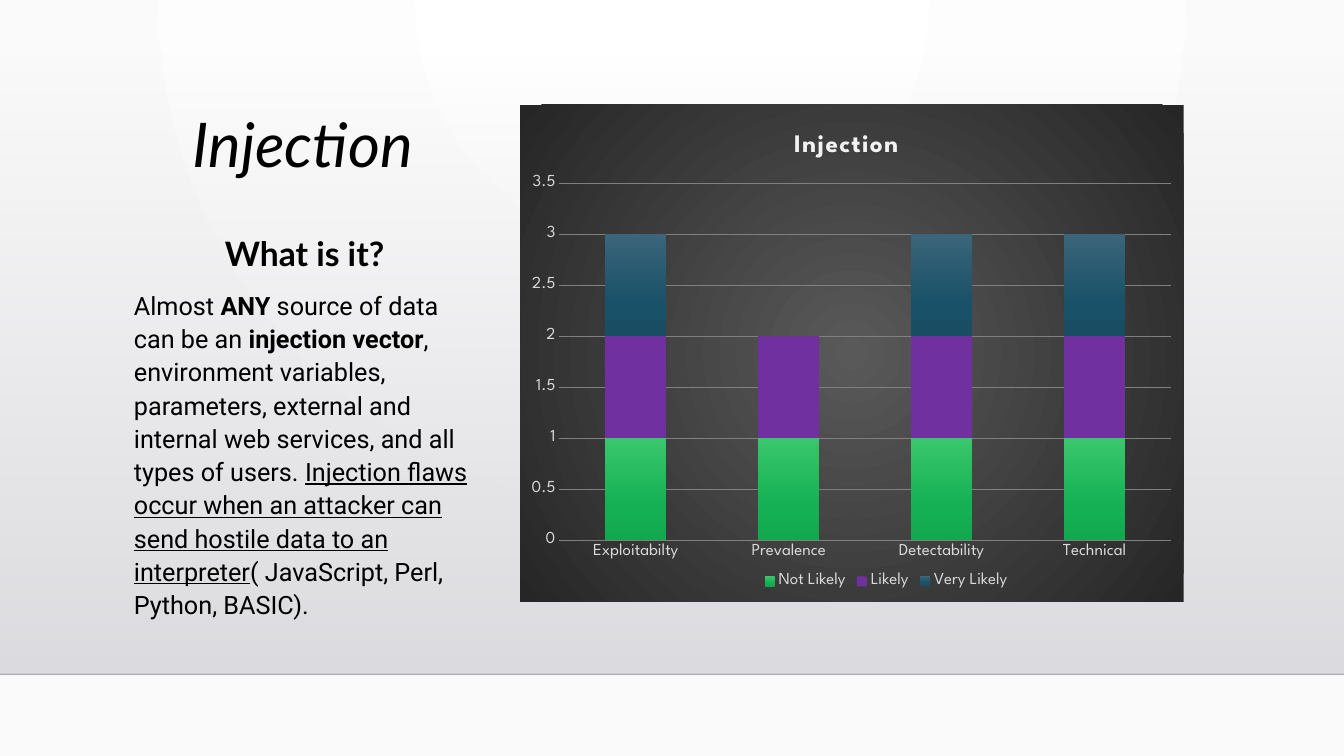
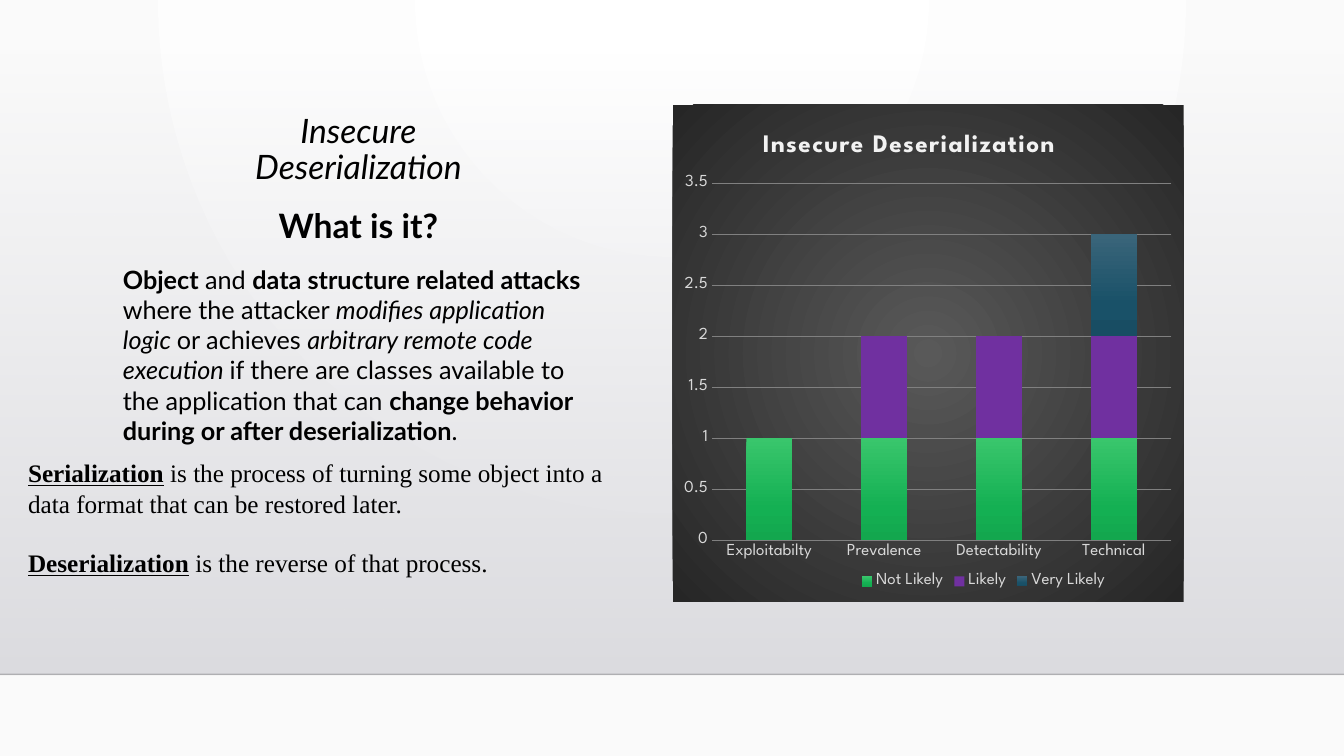
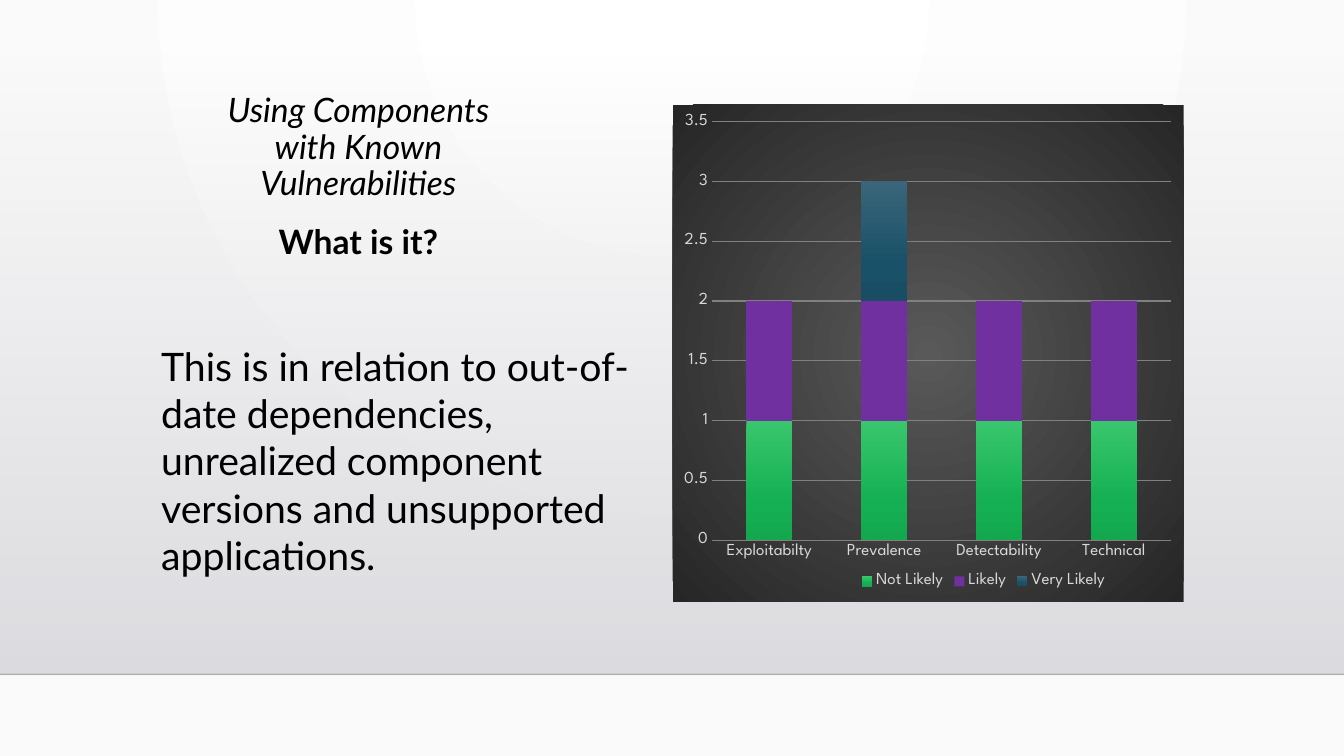
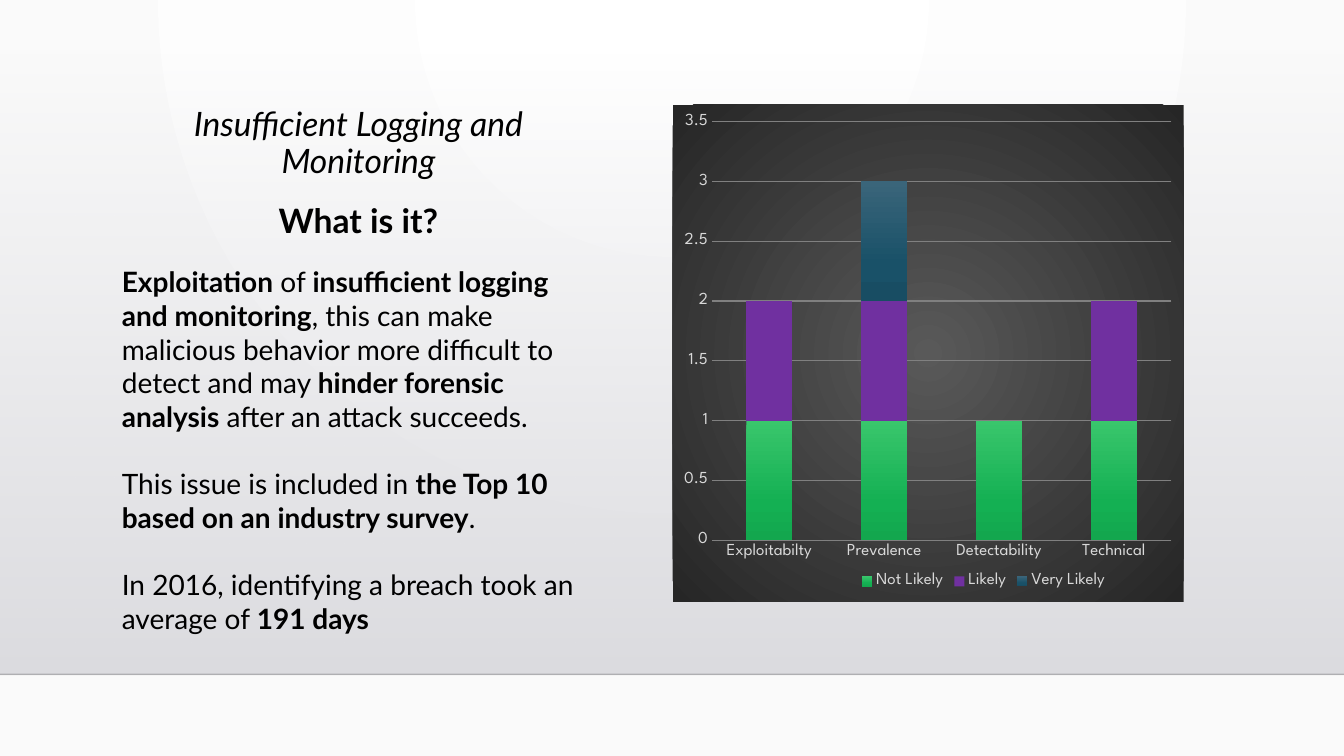
from dataclasses import dataclass

from lxml.etree import SubElement as Sub
from pptx import Presentation
from pptx.chart.data import CategoryChartData as ChartData
from pptx.dml.color import RGBColor as RGB
from pptx.enum.chart import XL_CHART_TYPE as Kind
from pptx.enum.chart import XL_LEGEND_POSITION as Place
from pptx.enum.chart import XL_TICK_MARK as Tick
from pptx.enum.shapes import MSO_CONNECTOR as Link
from pptx.enum.shapes import MSO_SHAPE as Form
from pptx.enum.text import MSO_ANCHOR as Anchor
from pptx.enum.text import PP_ALIGN as Align
from pptx.oxml import parse_xml
from pptx.oxml.ns import nsdecls, qn
from pptx.util import Inches, Pt


@dataclass(frozen=True)
class Theme:
    ink: str = "000000"
    rule: str = "000001"
    pale: str = "D9D9D9"
    bright: str = "F2F2F2"
    grid: str = "808080"
    likely: str = "7030A0"
    # gradient stops: position, colour, opacity (all in percent)
    back: tuple = ((0, "FFFFFF", 100), (100, "FAFAFA", 100))
    panel: tuple = ((0, "DCDCE0", 0), (100, "DEDEE2", 100))
    board: tuple = ((0, "595959", 100), (100, "262626", 100))
    low: tuple = ((0, "39C66C", 100), (69, "14B053", 100), (100, "13A74E", 100))
    high: tuple = ((0, "3A657A", 100), (69, "195168", 100), (100, "184D63", 100))
    sans: str = "Lato"
    plain: str = "Roboto"
    serif: str = "Times New Roman"
    plot: str = "League Spartan"
    hero: int = 44
    large: int = 28
    head: int = 24
    mid: int = 20
    body: int = 18
    label: int = 12
    small: int = 10


DOWN = '<a:lin ang="5400000" scaled="0"/>'
CATS = ("Exploitabilty", "Prevalence", "Detectability", "Technical")
NAMES = ("Not Likely", "Likely", "Very Likely")
WIDE, HIGH = 13.33, 7.5
FLOOR = 6.69


def ring(*edges):
    """Radial gradient centred on the given left, top, right, bottom insets."""
    sides = " ".join(f'{k}="{v * 1000}"' for k, v in zip("ltrb", edges))
    return f'<a:path path="circle"><a:fillToRect {sides}/></a:path>'


def blend(props, stops, way):
    """Swap the solid fill in props for a gradient."""
    marks = "".join(
        f'<a:gs pos="{pos * 1000}"><a:srgbClr val="{tint}">'
        f'<a:alpha val="{alpha * 1000}"/></a:srgbClr></a:gs>'
        for pos, tint, alpha in stops)
    grad = parse_xml(f'<a:gradFill {nsdecls("a")} rotWithShape="1">'
                     f'<a:gsLst>{marks}</a:gsLst>{way}</a:gradFill>')
    props.replace(props.find(qn("a:solidFill")), grad)


def locate(part, after=None, **spots):
    """Fix a chart part at fractions of the chart size."""
    old = part.find(qn("c:layout"))
    if old is not None:
        part.remove(old)
    inner = '<c:layoutTarget val="inner"/>' if "w" in spots else ""
    modes = "".join(f'<c:{k}Mode val="edge"/>' for k in "xy")
    vals = "".join(f'<c:{k} val="{v:.3f}"/>' for k, v in spots.items())
    lay = parse_xml(f'<c:layout {nsdecls("c")}><c:manualLayout>{inner}{modes}'
                    f'{vals}</c:manualLayout></c:layout>')
    if after:
        part.find(qn(after)).addnext(lay)
    else:
        part.insert(0, lay)


class Deck:
    def __init__(self, look):
        self.look = look
        self.prs = Presentation()
        self.prs.slide_width = Inches(WIDE)
        self.prs.slide_height = Inches(HIGH)
        master = self.prs.slide_master
        master.background.fill.solid()
        blend(master.element.find(".//" + qn("p:bgPr")),
              look.back, ring(43, 0, 43, 100))

    def page(self):
        """Start a slide with its panel and floor line."""
        slide = self.prs.slides.add_slide(self.prs.slide_layouts[6])
        self.shapes = slide.shapes
        top = 0.51
        panel = self.shapes.add_shape(Form.RECTANGLE, 0, Inches(top),
                                      Inches(WIDE), Inches(FLOOR - top))
        panel.shadow.inherit = False
        panel.line.fill.background()
        panel.fill.solid()
        blend(panel.element.spPr, self.look.panel, DOWN)
        rule = self.shapes.add_connector(Link.STRAIGHT, 0, Inches(FLOOR),
                                         Inches(WIDE), Inches(FLOOR))
        rule.line.width = Pt(1)
        rule.line.color.rgb = RGB.from_string(self.look.rule)
        tint = rule.element.spPr.find(".//" + qn("a:srgbClr"))
        Sub(tint, qn("a:alpha")).set("val", "20000")
        Sub(rule.element.spPr, qn("a:effectLst"))

    def font(self, font, size, face, tint):
        font.size, font.name = Pt(size), face
        font.color.rgb = RGB.from_string(tint)

    def box(self, spot, anchor=Anchor.TOP):
        frame = self.shapes.add_textbox(*map(Inches, spot)).text_frame
        frame.word_wrap = True
        frame.vertical_anchor = anchor
        return frame

    def say(self, para, runs, size, face):
        """Fill a paragraph from (text, marks) pairs; marks are b, i, u."""
        for text, marks in runs:
            run = para.add_run()
            run.text = text
            self.font(run.font, size, face, self.look.ink)
            run.font.bold = "b" in marks
            run.font.italic = "i" in marks
            run.font.underline = "u" in marks

    def title(self, text, left, top, size):
        para = self.box((left, top, 3.47, 0.8), Anchor.BOTTOM).paragraphs[0]
        para.alignment = Align.CENTER
        para.line_spacing = 0.9
        self.say(para, [(text, "i")], size, self.look.sans)

    def ask(self, spot, pitch=1.2):
        """Subheading; returns its frame so that text can follow."""
        frame = self.box(spot)
        para = frame.paragraphs[0]
        para.alignment = Align.CENTER
        para.line_spacing = pitch
        para.space_before = Pt(10)
        self.say(para, [("What is it?", "b")], self.look.head, self.look.sans)
        return frame

    def text(self, spot, paras, size, face, gap=0):
        frame = self.box(spot)
        for i, runs in enumerate(paras):
            para = frame.add_paragraph() if i else frame.paragraphs[0]
            if i:
                para.space_before = Pt(gap)
            self.say(para, runs, size, face)

    def chart(self, rows, left=6.67, title=None, inset=0):
        """Stacked columns; inset is where the chart title starts."""
        look = self.look
        top, high = 1.04, 4.93
        wide = 11.74 - left
        data = ChartData()
        data.categories = CATS
        for name, row in zip(NAMES, rows):
            data.add_series(name, row)
        chart = self.shapes.add_chart(
            Kind.COLUMN_STACKED, *map(Inches, (left, top, wide, high)), data).chart
        self.font(chart.font, look.small, look.plot, look.ink)

        board = parse_xml(f'<c:spPr {nsdecls("c", "a")}><a:solidFill/>'
                          '<a:ln><a:noFill/></a:ln></c:spPr>')
        chart.element.find(qn("c:chart")).addnext(board)
        blend(board, look.board, ring(50, 50, 50, 50))
        self.bars(chart.plots[0])
        self.axes(chart)

        chart.has_legend = True
        legend = chart.legend
        legend.position = Place.BOTTOM
        legend.include_in_layout = False
        self.font(legend.font, look.label, look.plot, look.pale)
        locate(chart.element.find(".//" + qn("c:legend")), "c:legendPos",
               x=0.36, y=0.935)

        chart.has_title = bool(title)
        if title:
            frame = chart.chart_title.text_frame
            frame.text = title
            run = frame.paragraphs[0].runs[0]
            self.font(run.font, look.body, look.plot, look.bright)
            run.font.bold = True
            frame._txBody.find(".//" + qn("a:rPr")).set("spc", "100")
            locate(chart.element.find(".//" + qn("c:title")), "c:tx",
                   x=inset / wide, y=0.045)

        edge, roof, foot = 0.39, 0.78 if title else 0.17, 0.61
        locate(chart.element.find(".//" + qn("c:plotArea")),
               x=edge / wide, y=roof / high,
               w=(wide - edge - 0.12) / wide, h=(high - roof - foot) / high)

    def bars(self, plot):
        plot.gap_width, plot.overlap = 150, 100
        plot.vary_by_categories = False
        for bar in plot.series:
            bar.format.fill.solid()
        low, mid, high = plot.series
        blend(low._element.spPr, self.look.low, DOWN)
        mid.format.fill.fore_color.rgb = RGB.from_string(self.look.likely)
        blend(high._element.spPr, self.look.high, DOWN)

    def axes(self, chart):
        look = self.look
        for axis in (chart.category_axis, chart.value_axis):
            axis.major_tick_mark = axis.minor_tick_mark = Tick.NONE
            axis.format.line.fill.background()
            self.font(axis.tick_labels.font, look.label, look.plot, look.pale)
        axis = chart.value_axis
        axis.minimum_scale, axis.maximum_scale, axis.major_unit = 0, 3.5, 0.5
        axis.has_major_gridlines = True
        line = axis.major_gridlines.format.line
        line.width = Pt(0.75)
        line.color.rgb = RGB.from_string(look.grid)


def inject(deck):
    look = deck.look
    deck.page()
    deck.title("Injection ", 1.34, 1.04, look.hero)
    frame = deck.ask((1.23, 2.22, 3.58, 4.24), 1.1)
    para = frame.add_paragraph()
    para.line_spacing = 1.1
    para.space_before = Pt(10)
    deck.say(para, [
        ("Almost ", ""), ("ANY", "b"), (" source of data can be an ", ""),
        ("injection vector", "b"),
        (", environment variables, parameters, external and internal web "
         "services, and all types of users. ", ""),
        ("Injection flaws occur when an attacker can send hostile data to an "
         "interpreter", "u"),
        ("( JavaScript, Perl, Python, BASIC).", "")], look.body, look.plain)
    deck.chart([(1, 1, 1, 1), (1, 1, 1, 1), (1, 0, 1, 1)],
               5.16, "Injection", 2.67)


def restore(deck):
    look = deck.look
    deck.page()
    deck.title("Insecure Deserialization", 1.82, 1.1, look.head)
    deck.ask((1.02, 1.9, 5.07, 2.58))
    deck.chart([(1, 1, 1, 1), (None, 1, 1, 1), (None, None, None, 1)],
               title="Insecure Deserialization", inset=0.85)
    deck.text((1.12, 2.57, 4.88, 1.92), [[
        ("Object", "b"), (" and ", ""), ("data structure related attacks ", "b"),
        ("where the attacker ", ""), ("modifies application logic ", "i"),
        ("or achieves ", ""), ("arbitrary remote code execution ", "i"),
        ("if there are classes available to the application that can ", ""),
        ("change behavior during or after deserialization", "b"), (".", ""),
    ]], look.body, look.sans)
    deck.text((0.18, 4.49, 5.91, 1.31), [
        [("Serialization", "bu"),
         (" is the process of turning some object into a data format that can "
          "be restored later.", "")],
        [("Deserialization", "bu"), (" is the reverse of that process.", "")],
    ], look.body, look.serif, 21)


def depend(deck):
    look = deck.look
    deck.page()
    deck.title("Using Components with Known Vulnerabilities", 1.82, 1.26, look.head)
    deck.ask((1.02, 2.06, 5.07, 2.58))
    deck.chart([(1, 1, 1, 1), (1, 1, 1, 1), (None, 1, None, None)])
    deck.text((1.5, 3.35, 4.88, 3.23), [[
        ("This is in relation to out-of-date dependencies, unrealized component "
         "versions and unsupported applications.", "")]], look.large, look.sans)


def monitor(deck):
    look = deck.look
    deck.page()
    deck.title("Insufficient Logging and Monitoring", 1.82, 1.04, look.head)
    deck.ask((1.02, 1.85, 5.07, 2.58))
    deck.chart([(1, 1, 1, 1), (1, 1, None, 1), (None, 1, None, None)])
    deck.text((1.11, 2.58, 4.88, 3.8), [
        [("Exploitation", "b"), (" of ", ""),
         ("insufficient logging and monitoring", "b"),
         (", this can make malicious behavior more difficult to detect and may ", ""),
         ("hinder forensic analysis", "b"), (" after an attack succeeds.", "")],
        [("This issue is included in ", ""),
         ("the Top 10 based on an industry survey", "b"), (".", "")],
        [("In 2016, identifying a breach took an average of ", ""),
         ("191 days", "b")],
    ], look.mid, look.sans, 24)


def main():
    deck = Deck(Theme())
    for build in (inject, restore, depend, monitor):
        build(deck)
    deck.prs.save("out.pptx")


if __name__ == "__main__":
    main()
